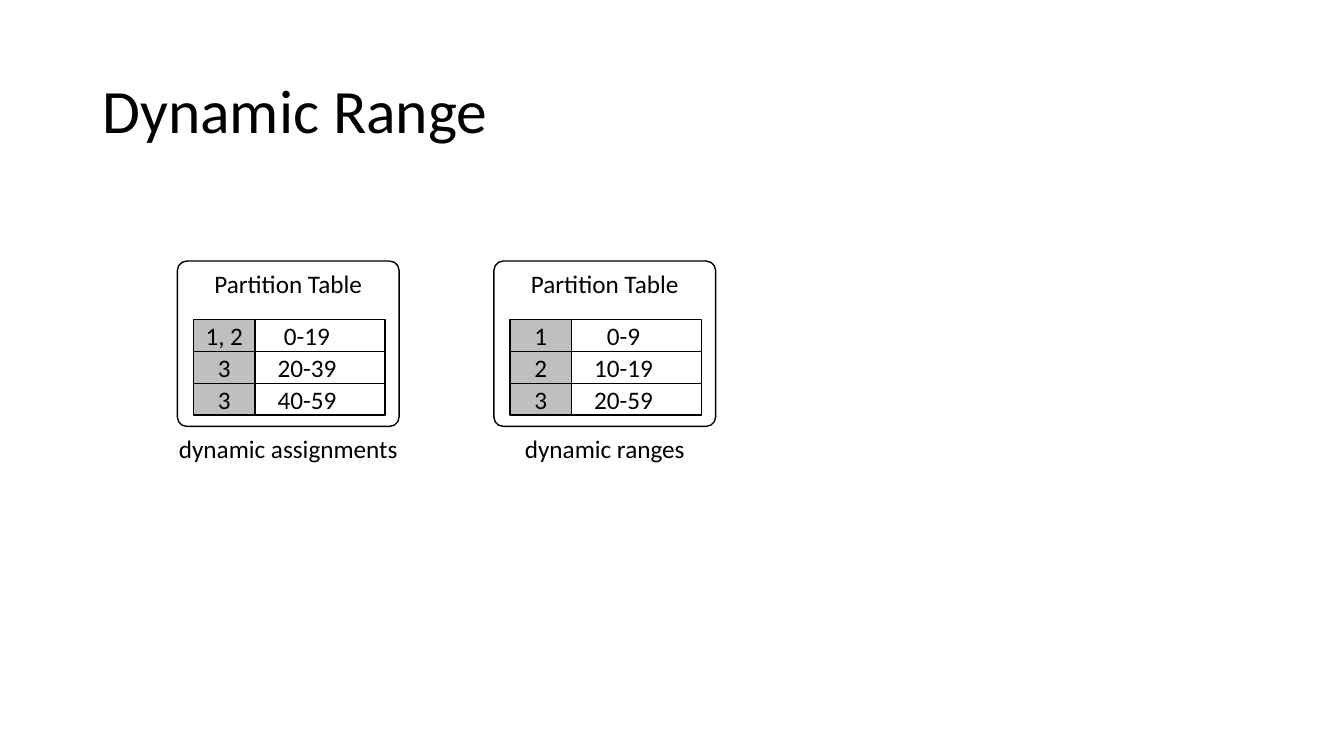
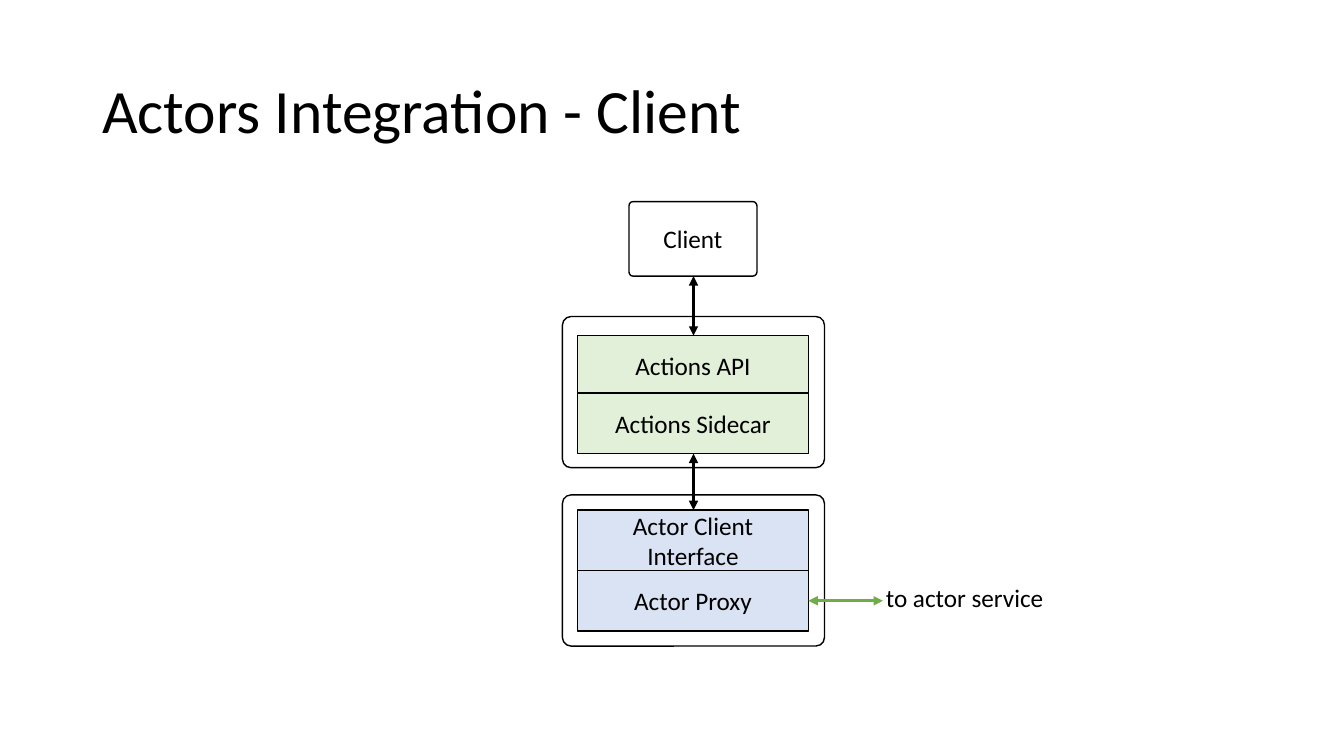
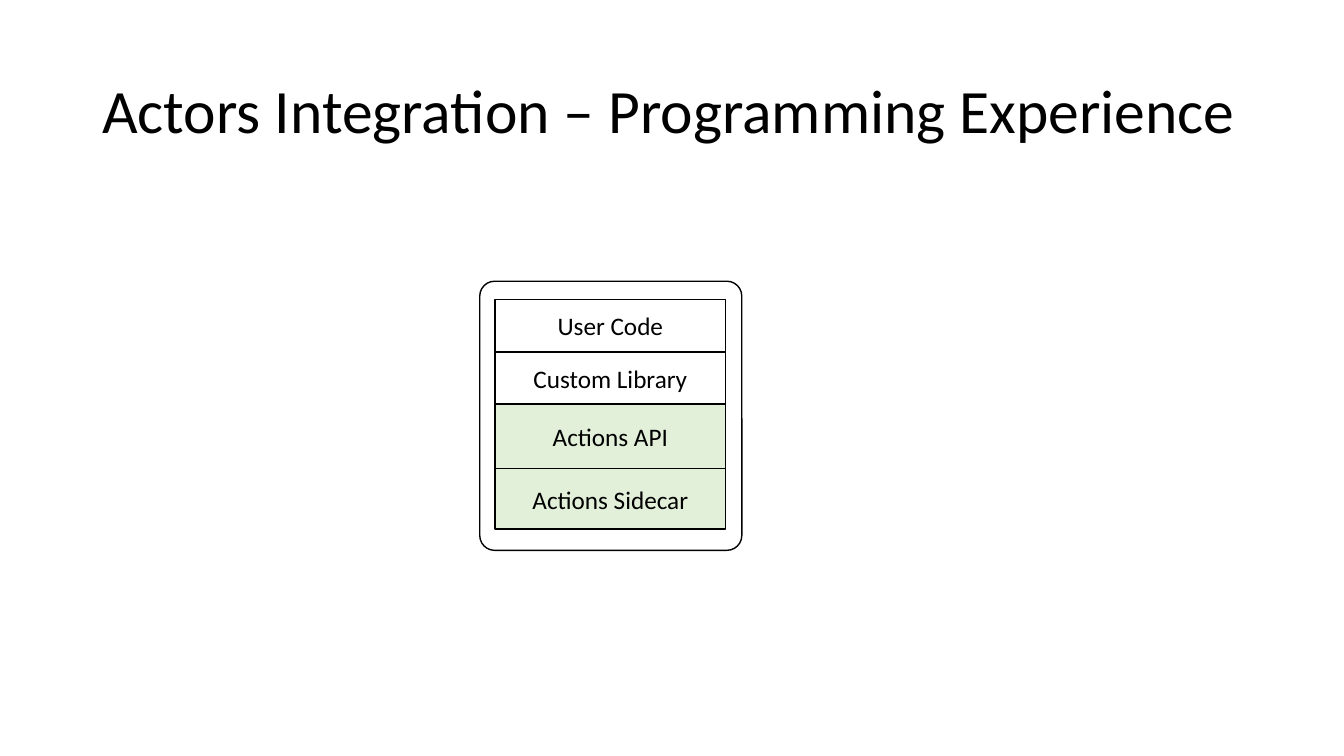
from dataclasses import dataclass

from lxml import etree
from pptx import Presentation
from pptx.dml.color import RGBColor
from pptx.enum.shapes import MSO_CONNECTOR, MSO_SHAPE
from pptx.enum.text import MSO_ANCHOR, MSO_AUTO_SIZE, PP_ALIGN
from pptx.oxml.ns import qn
from pptx.util import Pt

RECT = MSO_SHAPE.RECTANGLE
ROUNDED = MSO_SHAPE.ROUNDED_RECTANGLE
STRAIGHT = MSO_CONNECTOR.STRAIGHT
TOP, MIDDLE = MSO_ANCHOR.TOP, MSO_ANCHOR.MIDDLE
LEFT, CENTER = PP_ALIGN.LEFT, PP_ALIGN.CENTER
FIT_SHAPE = MSO_AUTO_SIZE.SHAPE_TO_FIT_TEXT


@dataclass(frozen=True)
class Theme:
    font: str = "Calibri"
    title_size: float = 44
    body_size: float = 18
    outline: float = 1
    arrow: float = 2.25
    corner: float = 0.057
    ink: str = "000000"
    paper: str = "FFFFFF"
    key: str = "BFBFBF"
    actions: str = "E2F0D9"
    actor: str = "DAE3F3"
    service: str = "70AD47"


THEME = Theme()
PANEL_W = 187.2
LAYER_INSET = 10.8
LAYER_W = 164.88


def rgb(color):
    return RGBColor.from_string(color)


def write(tf, text, size=THEME.body_size, align=CENTER, anchor=MIDDLE, spacing=None):
    tf.vertical_anchor = anchor
    p = tf.paragraphs[0]
    p.alignment = align
    if spacing:
        p.line_spacing = spacing
    r = p.add_run()
    r.text = text
    r.font.name = THEME.font
    r.font.size = Pt(size)
    r.font.color.rgb = rgb(THEME.ink)


def add_title(s, text):
    tf = s.shapes.add_textbox(Pt(66), Pt(28.8), Pt(828), Pt(104.4)).text_frame
    tf.word_wrap = True
    write(tf, text, size=THEME.title_size, align=LEFT, spacing=0.9)


def add_label(s, text, x, y, w, align=LEFT):
    tf = s.shapes.add_textbox(Pt(x), Pt(y), Pt(w), Pt(28.8)).text_frame
    tf.word_wrap = False
    tf.auto_size = FIT_SHAPE
    write(tf, text, align=align, anchor=TOP)


def add_box(s, x, y, w, h, text="", fill=THEME.paper, kind=RECT, anchor=MIDDLE):
    sp = s.shapes.add_shape(kind, Pt(x), Pt(y), Pt(w), Pt(h))
    sp.shadow.inherit = False
    sp.fill.solid()
    sp.fill.fore_color.rgb = rgb(fill)
    sp.line.color.rgb = rgb(THEME.ink)
    sp.line.width = Pt(THEME.outline)
    if kind == ROUNDED:
        sp.adjustments[0] = THEME.corner
    if text:
        write(sp.text_frame, text, anchor=anchor)


def add_arrow(s, x1, y1, x2, y2, color=THEME.ink):
    line = s.shapes.add_connector(STRAIGHT, Pt(x1), Pt(y1), Pt(x2), Pt(y2))
    line.line.color.rgb = rgb(color)
    line.line.width = Pt(THEME.arrow)
    ln = line.line._get_or_add_ln()
    for end in ("a:headEnd", "a:tailEnd"):
        etree.SubElement(ln, qn(end), type="triangle")
    etree.SubElement(line._element.spPr, qn("a:effectLst"))


def add_partition_table(s, x, rows, caption, caption_w):
    y, w = 186.48, 158.4
    row_top, row_pitch, row_h = y + 41.76, 22.8, 22.8
    add_box(s, x, y, w, 118.08, "Partition Table", kind=ROUNDED, anchor=TOP)
    for i, (key, span) in enumerate(rows):
        row_y = row_top + i * row_pitch
        add_box(s, x + 36.72, row_y, 111.6, row_h, span)
        add_box(s, x + 11.52, row_y, 43.92, row_h, key, fill=THEME.key)
    add_label(s, caption, x + (w - caption_w) / 2, 306, caption_w, align=CENTER)


def add_stack(s, x, y, h, layers):
    add_box(s, x, y, PANEL_W, h, kind=ROUNDED)
    for text, layer_y, layer_h, fill in layers:
        add_box(s, x + LAYER_INSET, layer_y, LAYER_W, layer_h, text, fill=fill)


def dynamic_range(s):
    add_title(s, "Dynamic Range")
    add_partition_table(s, 126.72, [("1, 2", "0-19"), ("3", "20-39"), ("3", "40-59")],
                        "dynamic assignments", 174.24)
    add_partition_table(s, 352.8, [("1", "0-9"), ("2", "10-19"), ("3", "20-59")],
                        "dynamic ranges", 130.32)


def actors_client(s):
    add_title(s, "Actors Integration - Client")
    x = 401.76
    middle = x + PANEL_W / 2
    add_stack(s, x, 226.08, 108, [
        ("Actions API", 239.76, 43.2, THEME.actions),
        ("Actions Sidecar", 280.8, 43.2, THEME.actions),
    ])
    add_stack(s, x, 353.52, 108, [
        ("Actor Client Interface", 364.32, 43.2, THEME.actor),
        ("Actor Proxy", 407.52, 43.2, THEME.actor),
    ])
    add_box(s, 449.28, 144, 91.44, 53.28, "Client", kind=ROUNDED)
    add_arrow(s, middle, 197.28, middle, 239.76)
    add_arrow(s, middle, 324, middle, 364.32)
    add_arrow(s, 577.44, 429.12, 630.72, 429.12, color=THEME.service)
    add_label(s, "to actor service", 625.68, 412.56, 129.6)


def programming_experience(s):
    add_title(s, "Actors Integration – Programming Experience")
    add_stack(s, 342.72, 200.88, 192.24, [
        ("User Code", 213.84, 37.44, THEME.paper),
        ("Custom Library", 251.28, 37.44, THEME.paper),
        ("Actions API", 288.72, 46.08, THEME.actions),
        ("Actions Sidecar", 334.8, 43.2, THEME.actions),
    ])


def main():
    prs = Presentation()
    prs.slide_width, prs.slide_height = Pt(960), Pt(540)
    blank = prs.slide_layouts[6]
    for build in (dynamic_range, actors_client, programming_experience):
        build(prs.slides.add_slide(blank))
    prs.save("out.pptx")


main()
